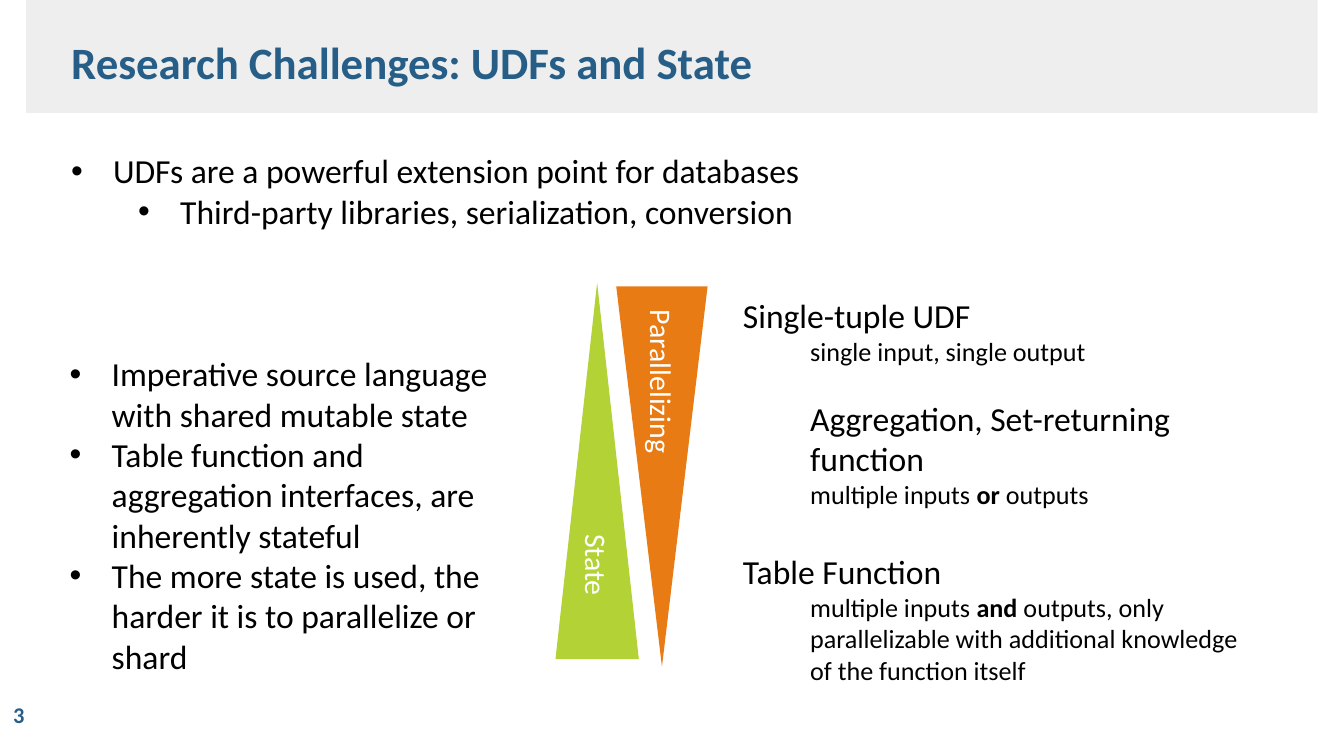
from dataclasses import dataclass

from lxml.etree import SubElement
from pptx import Presentation
from pptx.dml.color import RGBColor
from pptx.enum.shapes import MSO_SHAPE as Shape
from pptx.enum.text import MSO_ANCHOR as Anchor, MSO_AUTO_SIZE as AutoSize, PP_ALIGN as Align
from pptx.oxml.ns import qn
from pptx.util import Inches, Pt

SLIDE_WIDTH = Inches(10)
SLIDE_HEIGHT = SLIDE_WIDTH * 9 // 16
HANGING = 5 / 16  # inches between a bullet and its text
LEVEL_STEP = 0.5


@dataclass(frozen=True)
class Theme:
    font: str = "Calibri"
    heading: str = "265E87"
    band: str = "EEEEEE"
    ink: str = "000000"
    light: str = "FFFFFF"
    state: str = "B2D235"
    parallelizing: str = "E87B14"
    title_size: int = 24
    body_size: int = 18
    wedge_size: int = 16
    detail_size: int = 14
    number_size: int = 12


THEME = Theme()


@dataclass(frozen=True)
class Box:
    """Place and size in percent of the slide."""
    left: float
    top: float
    width: float
    height: float

    def emu(self) -> tuple[int, int, int, int]:
        return (round(SLIDE_WIDTH * self.left / 100), round(SLIDE_HEIGHT * self.top / 100),
                round(SLIDE_WIDTH * self.width / 100), round(SLIDE_HEIGHT * self.height / 100))


@dataclass(frozen=True)
class Line:
    """One paragraph; every second piece of its text is bold."""
    pieces: tuple[str, ...]
    size: int = THEME.body_size
    indent: float = 0
    bullet: bool = False
    level: int = 0
    gap_before: int = 0


@dataclass(frozen=True)
class Wedge:
    label: str
    box: Box
    color: str
    direction: str
    rotation: int = 0


def bullet(text: str, level: int = 0) -> Line:
    return Line((text,), indent=HANGING + level * LEVEL_STEP, bullet=True, level=level)


def detail(*pieces: str) -> Line:
    return Line(pieces, THEME.detail_size, indent=LEVEL_STEP, level=1)


POWER = (
    bullet("UDFs are a powerful extension point for databases"),
    bullet("Third-party libraries, serialization, conversion", level=1),
)
STATEFULNESS = (
    bullet("Imperative source language with shared mutable state"),
    bullet("Table function and aggregation interfaces, are inherently stateful"),
    bullet("The more state is used, the harder it is to parallelize or shard"),
)
FUNCTION_KINDS = (
    Line(("Single-tuple UDF",)),
    detail("single input, single output"),
    Line(("Aggregation, Set-returning function",), indent=LEVEL_STEP, gap_before=17),
    detail("multiple inputs ", "or", " outputs"),
    Line(("Table Function",), gap_before=22),
    detail("multiple inputs ", "and", " outputs, only parallelizable with additional "
           "knowledge of the function itself"),
)
TEXT_BLOCKS = (
    (Box(54.3, 38.1, 40.6, 48.53), FUNCTION_KINDS),
    (Box(4.3, 19.02, 56.5, 17.96), POWER),
    (Box(4.2, 45.87, 35.5, 50.31), STATEFULNESS),
)
WEDGES = (
    Wedge("State", Box(41.33, 37.4, 6.2, 49.78), THEME.state, "vert"),
    Wedge("Parallelizing", Box(45.85, 37.87, 6.8, 50.31), THEME.parallelizing, "vert270", 180),
)


def style_run(run, size: int, color: str, bold: bool = False) -> None:
    run.font.name = THEME.font
    run.font.size = Pt(size)
    run.font.bold = bold
    run.font.color.rgb = RGBColor.from_string(color)


def add_filled(slide, kind: Shape, box: Box, color: str):
    shape = slide.shapes.add_shape(kind, *box.emu())
    shape.shadow.inherit = False
    shape.fill.solid()
    shape.fill.fore_color.rgb = RGBColor.from_string(color)
    shape.line.fill.background()
    return shape


def add_header(slide, title: str) -> None:
    band = add_filled(slide, Shape.RECTANGLE, Box(1.95, 0, 96.1, 14.93), THEME.band)
    slide.shapes._spTree.insert(2, band._element)  # behind the title
    heading = slide.shapes.title
    heading.left, heading.top, heading.width, heading.height = Box(4.3, 3.73, 75.6, 9.78).emu()
    frame = heading.text_frame
    frame.text = title
    frame.auto_size = AutoSize.NONE
    frame.vertical_anchor = Anchor.TOP
    frame.paragraphs[0].alignment = Align.LEFT
    style_run(frame.paragraphs[0].runs[0], THEME.title_size, THEME.heading, bold=True)


def add_page_number(slide, number: int) -> None:
    frame = slide.shapes.add_textbox(*Box(0, 91.73, 5.5, 5.51).emu()).text_frame
    frame.text = str(number)
    frame.word_wrap = True
    frame.vertical_anchor = Anchor.MIDDLE
    style_run(frame.paragraphs[0].runs[0], THEME.number_size, THEME.heading, bold=True)


def add_wedge(slide, wedge: Wedge) -> None:
    triangle = add_filled(slide, Shape.ISOSCELES_TRIANGLE, wedge.box, wedge.color)
    triangle.rotation = wedge.rotation
    frame = triangle.text_frame
    frame.text = wedge.label
    frame.word_wrap = False
    frame.vertical_anchor = Anchor.MIDDLE
    frame._txBody.bodyPr.set("vert", wedge.direction)
    frame.paragraphs[0].alignment = Align.CENTER
    style_run(frame.paragraphs[0].runs[0], THEME.wedge_size, THEME.light)


def write_line(paragraph, line: Line) -> None:
    paragraph.level = line.level
    paragraph.space_before = Pt(line.gap_before)
    for position, piece in enumerate(line.pieces):
        run = paragraph.add_run()
        run.text = piece
        style_run(run, line.size, THEME.ink, bold=position % 2 == 1)
    properties = paragraph._p.get_or_add_pPr()
    properties.set("marL", str(Inches(line.indent)))
    properties.set("indent", str(Inches(-HANGING if line.bullet else 0)))
    if line.bullet:
        SubElement(properties, qn("a:buFont"), typeface="Arial")
        SubElement(properties, qn("a:buChar"), char="•")


def add_text_block(slide, box: Box, lines: tuple[Line, ...]) -> None:
    frame = slide.shapes.add_textbox(*box.emu()).text_frame
    frame.word_wrap = True
    for position, line in enumerate(lines):
        write_line(frame.add_paragraph() if position else frame.paragraphs[0], line)


def main() -> None:
    deck = Presentation()
    deck.slide_width, deck.slide_height = SLIDE_WIDTH, SLIDE_HEIGHT
    slide = deck.slides.add_slide(deck.slide_layouts[5])
    add_header(slide, "Research Challenges: UDFs and State")
    add_page_number(slide, 3)
    for wedge in WEDGES:
        add_wedge(slide, wedge)
    for box, lines in TEXT_BLOCKS:
        add_text_block(slide, box, lines)
    deck.save("out.pptx")


if __name__ == "__main__":
    main()
